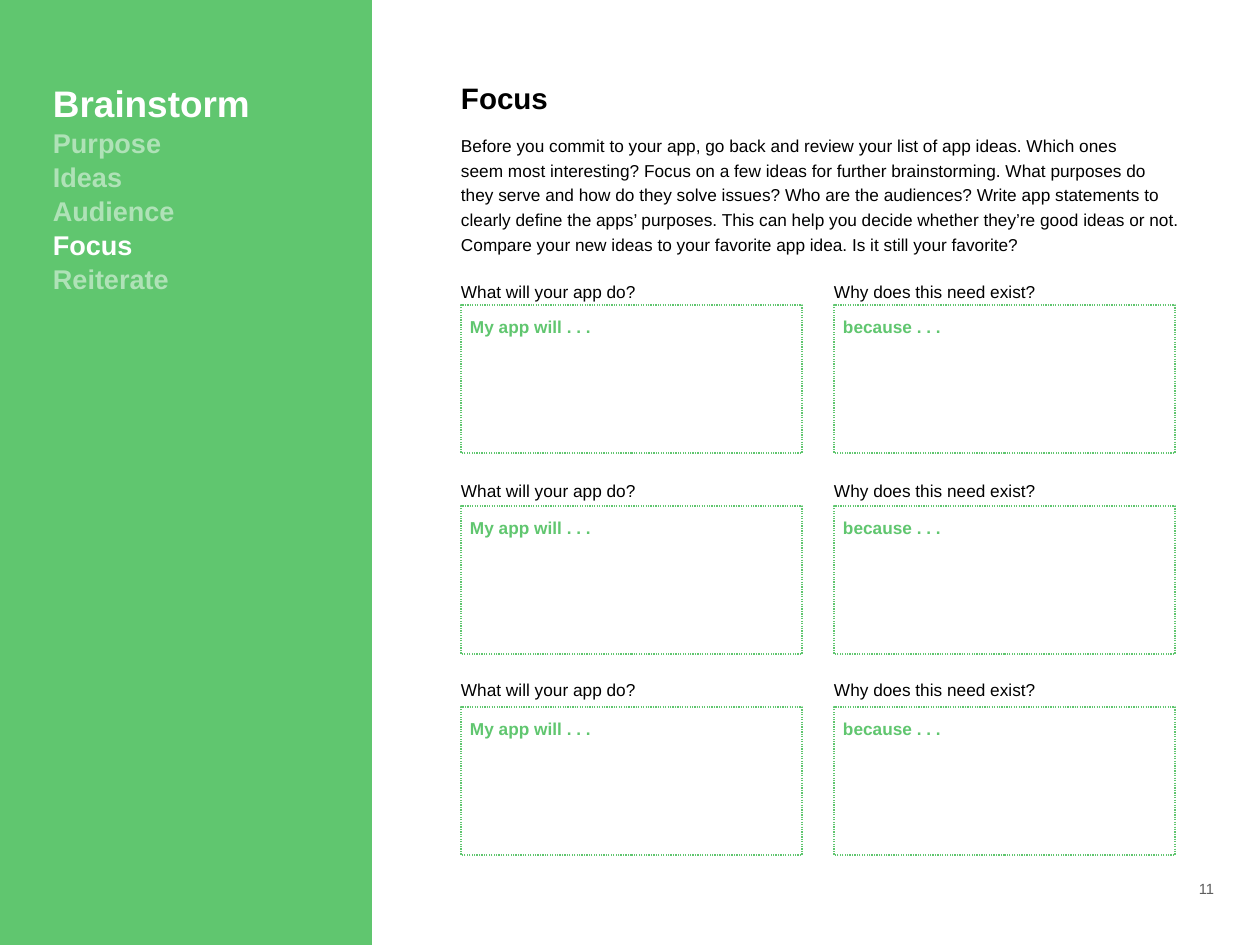
from lxml import etree
from pptx import Presentation
from pptx.dml.color import RGBColor
from pptx.enum.dml import MSO_LINE
from pptx.enum.shapes import MSO_SHAPE
from pptx.enum.text import MSO_ANCHOR, MSO_AUTO_SIZE, PP_ALIGN
from pptx.oxml.ns import qn
from pptx.util import Pt

EMU_PER_PX = 10320
SLIDE_WIDTH, SLIDE_HEIGHT = 1260, 945
FONT = "Arial"

GREEN = RGBColor(0x60, 0xC6, 0x6F)
WHITE = RGBColor(0xFF, 0xFF, 0xFF)
BLACK = RGBColor(0x00, 0x00, 0x00)
GRAY = RGBColor(0x5E, 0x5E, 0x5E)

RECTANGLE = MSO_SHAPE.RECTANGLE
DOTTED = MSO_LINE.ROUND_DOT
TOP = MSO_ANCHOR.TOP
NO_AUTOFIT = MSO_AUTO_SIZE.NONE
LEFT, CENTER = PP_ALIGN.LEFT, PP_ALIGN.CENTER

CONTENT_LEFT = 461
ROW_COUNT = 3
LABEL_TOP, LABEL_PITCH = 277, 199
BOX_TOP, BOX_PITCH = 305, 201
BOX_WIDTH, BOX_HEIGHT = 341, 148
COLUMNS = [
    (CONTENT_LEFT, "What will your app do?", "My app will . . ."),
    (834, "Why does this need exist?", "because . . ."),
]
TOPICS = ["Purpose", "Ideas", "Audience", "Focus", "Reiterate"]
CURRENT_TOPIC = "Focus"
INTRODUCTION = (
    "Before you commit to your app, go back and review your list of app ideas. "
    "Which ones \vseem most interesting? Focus on a few ideas for further "
    "brainstorming. What purposes do they serve and how do they solve issues? "
    "Who are the audiences? Write app statements to clearly define the apps’ "
    "purposes. This can help you decide whether they’re good ideas or not. "
    "Compare your new ideas to your favorite app idea. Is it still your favorite?"
)


def px(*lengths):
    """Turn pixel lengths into EMU."""
    return [length * EMU_PER_PX for length in lengths]


def prepare_frame(shape, inset=0):
    """Set wrapping, top anchor and equal insets; return the text frame."""
    frame = shape.text_frame
    frame.word_wrap = True
    frame.auto_size = NO_AUTOFIT
    frame.vertical_anchor = TOP
    margin = inset * EMU_PER_PX
    frame.margin_left = frame.margin_right = margin
    frame.margin_top = frame.margin_bottom = margin
    return frame


def write_text(paragraph, text, size=14, color=BLACK, bold=False,
               align=LEFT, spacing=1.0, opacity=100):
    """Fill a paragraph with formatted text."""
    paragraph.text = text
    paragraph.alignment = align
    paragraph.line_spacing = spacing
    paragraph.space_before = Pt(0)
    for run in paragraph.runs:
        run.font.name = FONT
        run.font.size = Pt(size)
        run.font.bold = bold
        run.font.color.rgb = color
        if opacity < 100:
            fill_color = run.font.fill._xPr.find(".//" + qn("a:srgbClr"))
            alpha = etree.SubElement(fill_color, qn("a:alpha"))
            alpha.set("val", str(opacity * 1000))


def add_text(slide, text, left, top, width, height, **text_format):
    """Add a text box holding one paragraph."""
    box = slide.shapes.add_textbox(*px(left, top, width, height))
    write_text(prepare_frame(box).paragraphs[0], text, **text_format)


def add_rectangle(slide, left, top, width, height, fill):
    """Add a flat filled rectangle without an outline."""
    shape = slide.shapes.add_shape(RECTANGLE, *px(left, top, width, height))
    shape.shadow.inherit = False
    shape.fill.solid()
    shape.fill.fore_color.rgb = fill
    shape.line.fill.background()
    return shape


def add_answer_box(slide, left, top, prompt):
    """Add a dotted answer box with a green prompt."""
    box = add_rectangle(slide, left, top, BOX_WIDTH, BOX_HEIGHT, WHITE)
    box.line.color.rgb = GREEN
    box.line.width = Pt(1)
    box.line.dash_style = DOTTED
    write_text(prepare_frame(box, inset=9).paragraphs[0], prompt,
               color=GREEN, bold=True, spacing=Pt(19))


def add_sidebar(slide):
    """Add the green panel with its heading and topic list."""
    add_rectangle(slide, 0, 0, 372, SLIDE_HEIGHT, GREEN)
    box = slide.shapes.add_textbox(*px(48, 73, 230, 305))
    frame = prepare_frame(box, inset=5)
    write_text(frame.paragraphs[0], "Brainstorm", size=30, color=WHITE,
               bold=True, spacing=1.05)
    for topic in TOPICS:
        write_text(frame.add_paragraph(), topic, size=22, color=WHITE,
                   bold=True, spacing=1.05,
                   opacity=100 if topic == CURRENT_TOPIC else 50)


def set_title(slide, text):
    """Place and format the title placeholder."""
    title = slide.shapes.title
    title.left, title.top, title.width, title.height = px(CONTENT_LEFT, 80, 723, 36)
    write_text(prepare_frame(title).paragraphs[0], text, size=24, bold=True)


def main():
    """Build and save the slide."""
    presentation = Presentation()
    presentation.slide_width, presentation.slide_height = px(SLIDE_WIDTH, SLIDE_HEIGHT)
    slide = presentation.slides.add_slide(presentation.slide_layouts[5])
    add_sidebar(slide)
    set_title(slide, "Focus")
    add_text(slide, INTRODUCTION, CONTENT_LEFT, 131, 723, 125, spacing=1.2)
    for row in range(ROW_COUNT):
        for left, question, prompt in COLUMNS:
            add_text(slide, question, left, LABEL_TOP + row * LABEL_PITCH,
                     240, 24, spacing=1.2)
            add_answer_box(slide, left, BOX_TOP + row * BOX_PITCH, prompt)
    add_text(slide, "11", 1193, 880, 27, 18, size=12, color=GRAY, align=CENTER)
    presentation.save("out.pptx")


if __name__ == "__main__":
    main()
